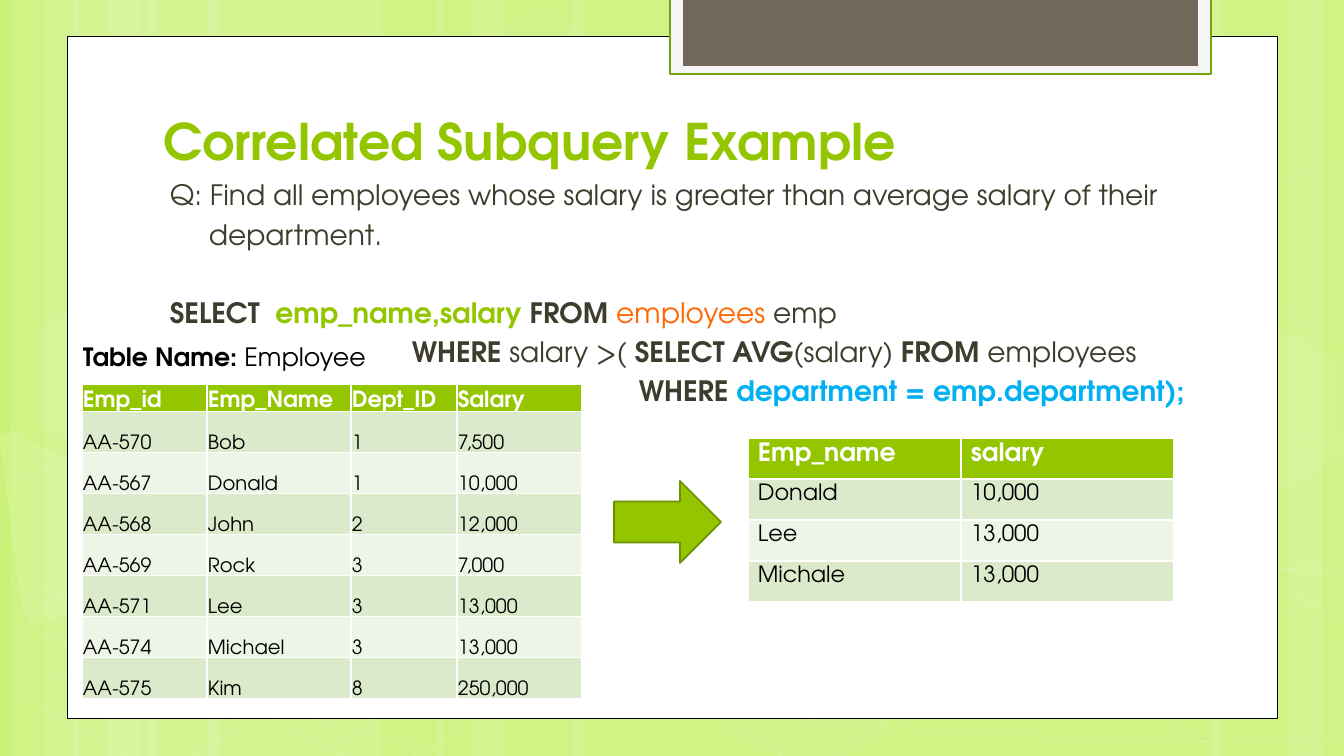
"""Build the slide explaining a correlated subquery with its source and result tables."""
from lxml.etree import SubElement
from pptx import Presentation
from pptx.dml.color import RGBColor
from pptx.enum.shapes import MSO_SHAPE
from pptx.enum.text import MSO_ANCHOR, MSO_AUTO_SIZE, PP_ALIGN
from pptx.oxml.ns import qn
from pptx.util import Pt

PIXEL = 12192000 / 1344
FONT = "TeX Gyre Adventor"
WHITE = RGBColor(0xFF, 0xFF, 0xFF)
BLACK = RGBColor(0, 0, 0)
LIME = RGBColor(0x94, 0xC6, 0x00)
PALE_LIME = RGBColor(0xCA, 0xF2, 0x78)
DARK_LIME = RGBColor(0x6D, 0x92, 0x00)
TAB_EDGE = RGBColor(0x74, 0xA5, 0x10)
TAB_GREY = RGBColor(0xF5, 0xF5, 0xF5)
TAUPE = RGBColor(0x71, 0x68, 0x5A)
OLIVE = RGBColor(0x3E, 0x3D, 0x2D)
ORANGE = RGBColor(0xFF, 0x67, 0x00)
BLUE = RGBColor(0x00, 0xB0, 0xF0)
BANDS = [RGBColor(0xEE, 0xF5, 0xE7), RGBColor(0xDC, 0xEA, 0xCC)]


def paint(shape, fill=None, line=None, width=1, alphas=()):
    shape.shadow.inherit = False
    if fill is None:
        shape.fill.background()
    else:
        shape.fill.solid()
        shape.fill.fore_color.rgb = fill
    if line is None:
        shape.line.fill.background()
    else:
        shape.line.color.rgb = line
        shape.line.width = Pt(width)
    for color, alpha in zip(shape._element.iter(qn("a:srgbClr")), alphas):
        SubElement(color, qn("a:alpha")).set("val", str(alpha * 1000))


def write(para, spans, size):
    for text, color, bold in spans:
        span = para.add_run()
        span.text = text
        span.font.name = FONT
        span.font.size = Pt(size)
        span.font.bold = bold
        span.font.color.rgb = color


deck = Presentation()
deck.slide_width, deck.slide_height = round(1344 * PIXEL), round(756 * PIXEL)
page = deck.slides.add_slide(deck.slide_layouts[5])
page.background.fill.solid()
page.background.fill.fore_color.rgb = PALE_LIME

stripes = [(146, 235), (11, 68), (45, 112), (208, 235), (74, 67), (107, 112),
           (986, 235), (1288, 56), (1210, 112), (572, 414), (437, 68), (471, 112)]
for left, width in stripes:
    stripe = page.shapes.add_shape(MSO_SHAPE.RECTANGLE, round(left * PIXEL), 0,
                                   round(width * PIXEL), deck.slide_height)
    paint(stripe, WHITE, alphas=[10])

curves = [
    [(10, 678), (256, 683), (615, 670), (1063, 622), (1344, 558)],
    [(10, 481), (163, 434), (467, 390), (879, 390), (1344, 437)],
    [(8, 622), (230, 697), (450, 755)],
    [(10, 583), (172, 621), (479, 678), (844, 724), (1146, 742), (1344, 740)],
    [(326, 755), (406, 697), (521, 644), (631, 614), (817, 583), (914, 574), (1191, 566), (1344, 570)],
]
for points in curves:
    corners = [(x * PIXEL, y * PIXEL) for x, y in points]
    builder = page.shapes.build_freeform(*corners[0])
    builder.add_line_segments(corners[1:], close=False)
    paint(builder.convert_to_shape(), None, WHITE, 0.5, [20])

hexagons = [(449, 36, 4, 8), (667, 594, 6, 12), (15, 596, 0, 12), (19, 315, 7, 8),
            (234, 597, 0, 12), (1121, 598, 0, 12), (1121, 317, 7, 8)]
for left, top, fill_alpha, line_alpha in hexagons:
    hexagon = page.shapes.add_shape(MSO_SHAPE.HEXAGON, round(left * PIXEL), round(top * PIXEL),
                                    round(236 * PIXEL), round(153 * PIXEL))
    hexagon.adjustments[0] = 0.285
    hexagon.rotation = 30
    paint(hexagon, WHITE, WHITE, 1, [fill_alpha, line_alpha])

edge_pieces = [
    ([(0, 437), (13, 431), (116, 491), (128, 586), (39, 623), (24, 614)], 10),
    ([(1245, 478), (1334, 440), (1343, 447), (1343, 625), (1257, 574)], 4),
    ([(1245, 198), (1334, 160), (1343, 166), (1343, 345), (1257, 293)], 0),
]
for points, fill_alpha in edge_pieces:
    corners = [(x * PIXEL, y * PIXEL) for x, y in points]
    builder = page.shapes.build_freeform(*corners[0])
    builder.add_line_segments(corners[1:])
    paint(builder.convert_to_shape(), WHITE, WHITE, 1, [fill_alpha, 12])

blocks = [
    (MSO_SHAPE.RECTANGLE, (67, 36, 1210, 682), WHITE, BLACK, 0.5),
    (MSO_SHAPE.RECTANGLE, (670, -2, 541, 76), TAB_GREY, TAB_EDGE, 1.25),
    (MSO_SHAPE.RECTANGLE, (683, -2, 515, 68), TAUPE, None, 0),
    (MSO_SHAPE.RIGHT_ARROW, (614, 481, 107, 82), LIME, DARK_LIME, 1.25),
]
for kind, frame, fill, line, width in blocks:
    block = page.shapes.add_shape(kind, *[round(length * PIXEL) for length in frame])
    paint(block, fill, line, width)

title = page.shapes.title
title.left, title.top, title.width, title.height = [
    round(length * PIXEL) for length in (153, 113, 1032, 63)]
title.text_frame.auto_size = MSO_AUTO_SIZE.NONE
title.text_frame.vertical_anchor = MSO_ANCHOR.BOTTOM
title.text_frame.paragraphs[0].alignment = PP_ALIGN.LEFT
write(title.text_frame.paragraphs[0], [("Correlated Subquery Example", LIME, True)], 36)
page.shapes._spTree.append(title._element)

query = [
    (7, 4, [("Q: Find all employees whose salary is greater than average salary of their", OLIVE, False)]),
    (46, 4, [("department.", OLIVE, False)]),
    (7, 32, [("SELECT  ", OLIVE, True), ("emp_name,salary ", LIME, True), ("FROM ", OLIVE, True),
             ("employees ", ORANGE, False), ("emp", OLIVE, False)]),
    (249, 4, [("WHERE", OLIVE, True), (" salary >( ", OLIVE, False), ("SELECT AVG", OLIVE, True),
              ("(salary) ", OLIVE, False), ("FROM", OLIVE, True), (" employees", OLIVE, False)]),
    (476, 4, [("WHERE ", OLIVE, True), ("department = emp.department);", BLUE, True)]),
]
label = [(0, 0, [("Table Name: ", BLACK, True), ("Employee", BLACK, False)])]
for frame, size, lines in [((153, 173, 1190, 250), 20, query), ((73, 336, 350, 40), 18, label)]:
    box = page.shapes.add_textbox(*[round(length * PIXEL) for length in frame])
    box.text_frame.word_wrap = True
    for index, (indent, gap, spans) in enumerate(lines):
        para = box.text_frame.add_paragraph() if index else box.text_frame.paragraphs[0]
        para.space_before = Pt(gap)
        para._p.get_or_add_pPr().set("marL", str(round(indent * PIXEL)))
        write(para, spans, size)

employees = [
    ("Emp_id", "Emp_Name", "Dept_ID", "Salary"),
    ("AA-570", "Bob", "1", "7,500"),
    ("AA-567", "Donald", "1", "10,000"),
    ("AA-568", "John", "2", "12,000"),
    ("AA-569", "Rock", "3", "7,000"),
    ("AA-571", "Lee", "3", "13,000"),
    ("AA-574", "Michael", "3", "13,000"),
    ("AA-575", "Kim", "8", "250,000"),
]
result = [("Emp_name", "salary"), ("Donald", "10,000"), ("Lee", "13,000"), ("Michale", "13,000")]
tables = [
    (employees, 82, 384, (125, 144, 106, 125), 0, 314, 16, MSO_ANCHOR.BOTTOM, (1, 1, 1, 0)),
    (result, 748, 438, (213, 213), 41, 164, 18, MSO_ANCHOR.TOP, (10, 5, 10, 5)),
]
for rows, left, top, widths, header_height, height, header_size, anchor, margins in tables:
    frame = page.shapes.add_table(len(rows), len(widths), round(left * PIXEL), round(top * PIXEL),
                                  round(sum(widths) * PIXEL), round(height * PIXEL))
    table = frame.table
    table.horz_banding = False
    for column, width in zip(table.columns, widths):
        column.width = round(width * PIXEL)
    for index, values in enumerate(rows):
        table.rows[index].height = round((41 if index else header_height) * PIXEL)
        for cell, value in zip(table.rows[index].cells, values):
            cell.fill.solid()
            cell.fill.fore_color.rgb = BANDS[index % 2] if index else LIME
            cell.vertical_anchor = anchor
            cell.margin_left, cell.margin_top, cell.margin_right, cell.margin_bottom = [
                round(margin * PIXEL) for margin in margins]
            color = BLACK if index else WHITE
            size = header_size - 2 if index else header_size
            write(cell.text_frame.paragraphs[0], [(value, color, index == 0)], size)
    frame.height = round(height * PIXEL)

deck.save("out.pptx")
